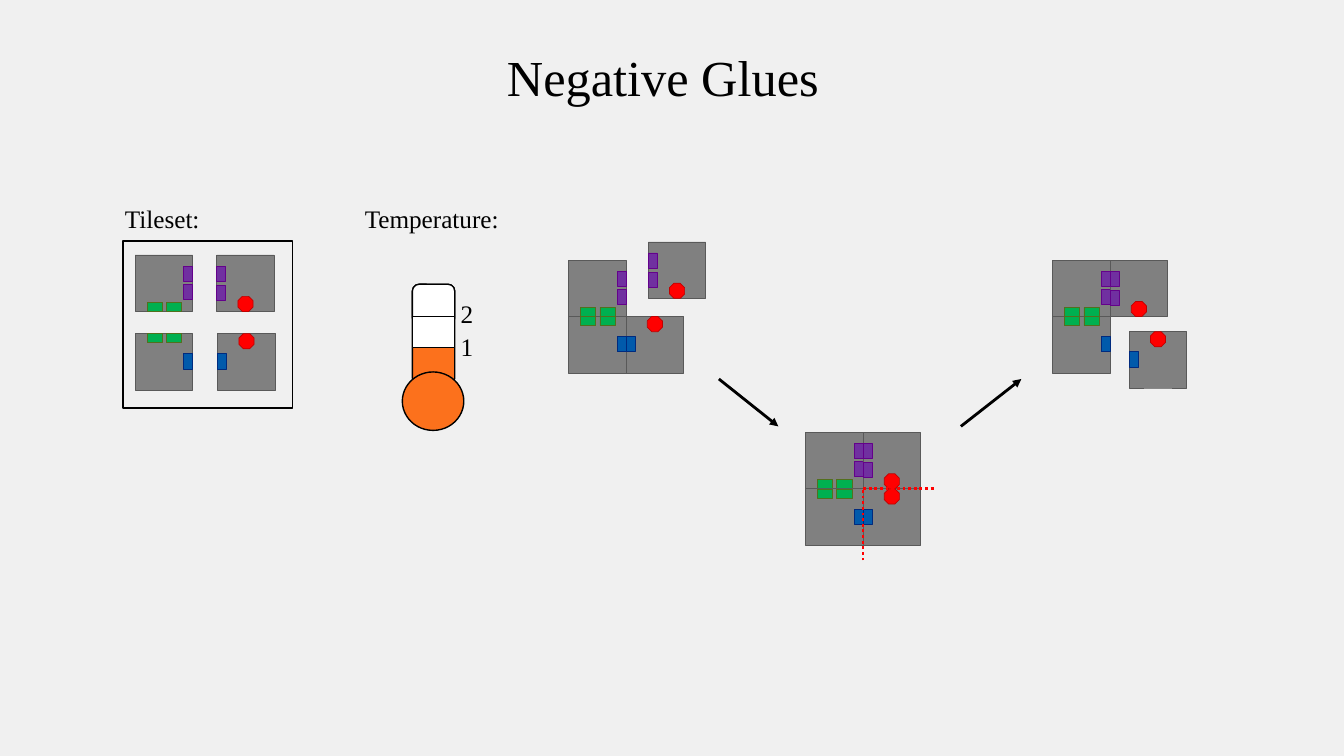
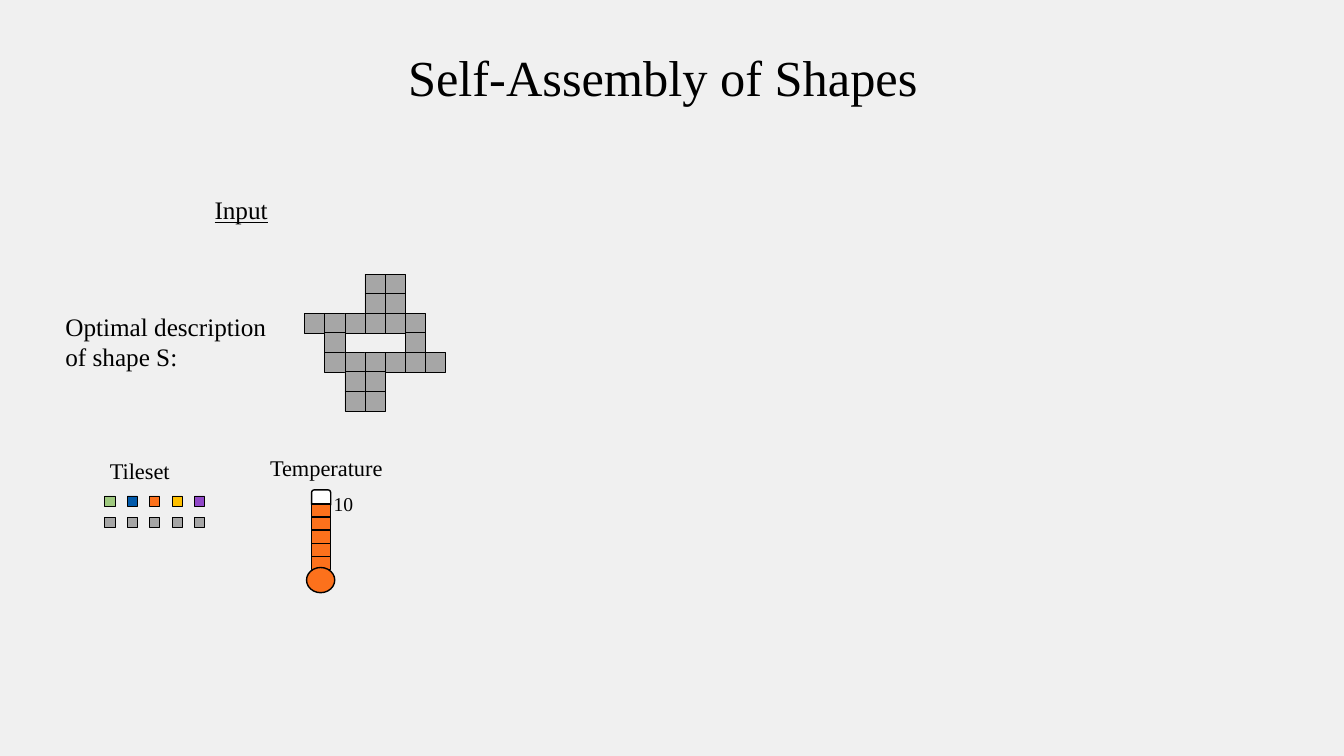
from lxml import etree
from pptx import Presentation
from pptx.dml.color import RGBColor
from pptx.enum.dml import MSO_LINE
from pptx.enum.shapes import MSO_CONNECTOR, MSO_SHAPE as Shape
from pptx.enum.text import PP_ALIGN
from pptx.oxml.ns import qn
from pptx.util import Inches, Pt

FONT = "Times New Roman"
COLORS = {
    "background": "F0F0F0", "black": "000000", "white": "FFFFFF",
    "tile": "808080", "tile edge": "595959", "cell": "A6A6A6",
    "green": "00B050", "green edge": "536F1D",
    "purple": "7030A0", "purple edge": "64018B",
    "blue": "015AAB", "blue edge": "002A7E",
    "red": "FF0000", "red edge": "C00000",
    "orange": "FC711C", "yellow": "FFC000",
    "light green": "9EC87E", "violet": "9148C8",
}
TITLE_BOX = (3.92, 0.41, 5.31, 0.71)

# Glues: shape, width, height
GLUES = {
    "green": (Shape.RECTANGLE, 0.15, 0.09),
    "purple": (Shape.RECTANGLE, 0.09, 0.15),
    "blue": (Shape.RECTANGLE, 0.09, 0.15),
    "red": (Shape.OCTAGON, 0.15, 0.15),
}
# Tiles: glue and its offset from the tile corner
TILE_W, TILE_H = 0.57, 0.56
TILES = {
    "NW": [("green", 0.12, 0.47), ("green", 0.31, 0.47),
           ("purple", 0.48, 0.11), ("purple", 0.48, 0.29)],
    "SW": [("green", 0.12, 0), ("green", 0.31, 0), ("blue", 0.48, 0.2)],
    "SE": [("blue", 0, 0.2), ("red", 0.21, 0)],
    "NE": [("purple", 0, 0.11), ("purple", 0, 0.3), ("red", 0.21, 0.41)],
}
# Corner of each tile, by group
ASSEMBLIES = {
    "tileset": {"NW": (1.34, 2.53), "SW": (1.34, 3.31),
                "SE": (2.16, 3.31), "NE": (2.15, 2.53)},
    "joined": {"NW": (7.99, 4.29), "SW": (7.99, 4.85),
               "SE": (8.56, 4.85), "NE": (8.56, 4.29)},
    "before": {"NW": (5.64, 2.58), "SW": (5.64, 3.14),
               "SE": (6.21, 3.14), "NE": (6.43, 2.4)},
    "after": {"NW": (10.44, 2.58), "SW": (10.44, 3.14),
              "SE": (11.2, 3.29), "NE": (11.01, 2.58)},
}
ARROWS = [((7.13, 3.76), (7.72, 4.23)), ((9.53, 4.23), (10.13, 3.76))]
CUTS = [((8.56, 5.56), (8.56, 4.86)), ((8.56, 4.85), (9.26, 4.85))]

# Thermometers: shape, fill, left, top, width, height
GLUE_THERMOMETER = [
    (Shape.ROUNDED_RECTANGLE, "orange", 4.09, 2.82, 0.42, 1),
    (Shape.OVAL, "orange", 3.99, 3.69, 0.61, 0.58),
    (Shape.ROUNDED_RECTANGLE, "white", 4.09, 2.82, 0.42, 0.4),
    (Shape.RECTANGLE, "white", 4.09, 3.14, 0.42, 0.31),
]
SEGMENT = 0.13
SHAPE_THERMOMETER = [
    (Shape.ROUNDED_RECTANGLE, "white", 3.09, 4.86, 0.19, 0.17),
    *[(Shape.RECTANGLE, "orange", 3.09, 5 + i * SEGMENT, 0.19, SEGMENT)
      for i in range(5)],
    (Shape.OVAL, "orange", 3.04, 5.63, 0.28, 0.25),
]

# Labels: text, size, underlined, left, top, width, height
GLUE_LABELS = [
    ("Tileset:", 18, False, 1.14, 1.97, 0.95, 0.4),
    ("Temperature:", 18, False, 3.52, 1.97, 1.54, 0.4),
    ("2", 18, False, 4.47, 2.91, 0.33, 0.4),
    ("1", 18, False, 4.47, 3.24, 0.33, 0.4),
]
SHAPE_LABELS = [
    ("Input", 18, True, 2.03, 1.88, 0.73, 0.4),
    ("Optimal description\nof shape S:", 18, False, 0.55, 3.04, 2.19, 0.71),
    ("Tileset", 16, False, 0.99, 4.49, 0.81, 0.37),
    ("Temperature", 16, False, 2.58, 4.46, 1.34, 0.37),
    ("10", 14, False, 3.21, 4.83, 0.4, 0.34),
]
SHAPE_ROWS = [
    "...##..",
    "...##..",
    "######.",
    ".#...#.",
    ".######",
    "..##...",
    "..##...",
]
SWATCHES = [
    ["light green", "blue", "orange", "yellow", "violet"],
    ["cell"] * 5,
]


def rgb(name):
    return RGBColor.from_string(COLORS[name])


def inches(*lengths):
    return [Inches(length) for length in lengths]


def add_part(page, kind, fill, edge, weight, *frame):
    part = page.shapes.add_shape(kind, *inches(*frame))
    part.shadow.inherit = False
    if fill:
        part.fill.solid()
        part.fill.fore_color.rgb = rgb(fill)
    else:
        part.fill.background()
    part.line.color.rgb = rgb(edge)
    part.line.width = Pt(weight)


def add_text(page, text, size, underlined, *frame, align=PP_ALIGN.LEFT):
    text_frame = page.shapes.add_textbox(*inches(*frame)).text_frame
    text_frame.word_wrap = False
    text_frame.text = text
    for para in text_frame.paragraphs:
        para.alignment = align
        for span in para.runs:
            span.font.name = FONT
            span.font.size = Pt(size)
            span.font.color.rgb = rgb("black")
            if underlined:
                span.font.underline = True


def add_line(page, start, end, color, arrow=False):
    line = page.shapes.add_connector(MSO_CONNECTOR.STRAIGHT, *inches(*start, *end))
    line.line.color.rgb = rgb(color)
    line.line.width = Pt(2)
    if arrow:
        etree.SubElement(line.line._get_or_add_ln(), qn("a:tailEnd"), type="triangle")
    else:
        line.line.dash_style = MSO_LINE.ROUND_DOT
    etree.SubElement(line._element.spPr, qn("a:effectLst"))


def add_assembly(page, corners):
    for tile, (left, top) in corners.items():
        add_part(page, Shape.RECTANGLE, "tile", "tile edge", 0.5,
                 left, top, TILE_W, TILE_H)
        for glue, dx, dy in TILES[tile]:
            kind, width, height = GLUES[glue]
            add_part(page, kind, glue, glue + " edge", 0.5,
                     left + dx, top + dy, width, height)


def add_page(deck, title, labels, thermometer):
    page = deck.slides.add_slide(deck.slide_layouts[6])
    page.background.fill.solid()
    page.background.fill.fore_color.rgb = rgb("background")
    add_text(page, title, 36, False, *TITLE_BOX, align=PP_ALIGN.CENTER)
    for kind, fill, *frame in thermometer:
        add_part(page, kind, fill, "black", 1, *frame)
    for label in labels:
        add_text(page, *label)
    return page


def build_glues(deck):
    page = add_page(deck, "Negative Glues", GLUE_LABELS, GLUE_THERMOMETER)
    add_part(page, Shape.RECTANGLE, None, "black", 1, 1.22, 2.39, 1.68, 1.66)
    for corners in ASSEMBLIES.values():
        add_assembly(page, corners)
    for start, end in ARROWS:
        add_line(page, start, end, "black", arrow=True)
    for start, end in CUTS:
        add_line(page, start, end, "red")


def build_shapes(deck):
    page = add_page(deck, "Self-Assembly of Shapes", SHAPE_LABELS, SHAPE_THERMOMETER)
    # Target shape
    for row, cells in enumerate(SHAPE_ROWS):
        for column, cell in enumerate(cells):
            if cell == "#":
                add_part(page, Shape.RECTANGLE, "cell", "black", 0.25,
                         3.02 + column * 0.2, 2.72 + row * 1.16 / 6, 0.2, 0.2)
    # Tileset swatches
    for row, fills in enumerate(SWATCHES):
        for column, fill in enumerate(fills):
            add_part(page, Shape.RECTANGLE, fill, "black", 0.5,
                     1.04 + column * 0.89 / 4, 4.92 + row * 0.21, 0.1, 0.1)


def main():
    deck = Presentation()
    deck.slide_width, deck.slide_height = inches(13.33, 7.5)
    build_glues(deck)
    build_shapes(deck)
    deck.save("out.pptx")


if __name__ == "__main__":
    main()
